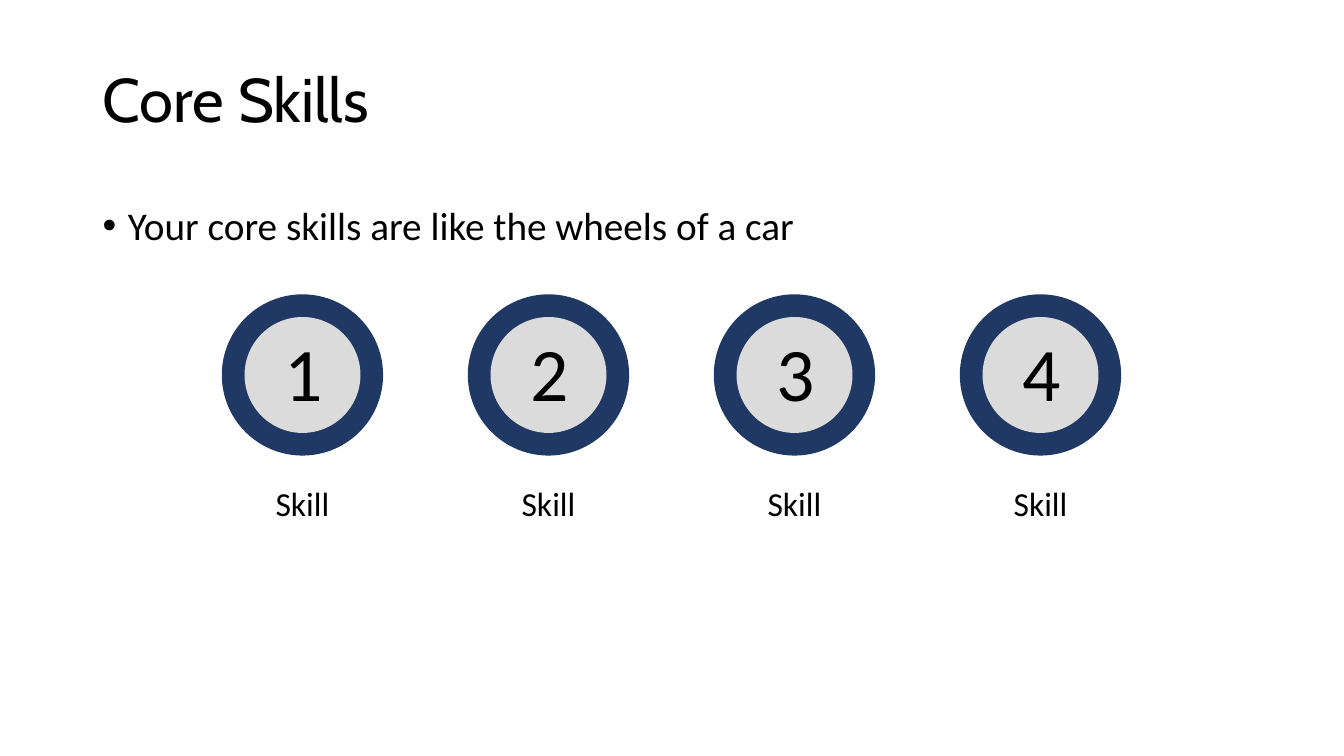
from pptx import Presentation
from pptx.dml.color import RGBColor
from pptx.enum.shapes import MSO_SHAPE as Shape
from pptx.enum.text import MSO_ANCHOR as Anchor, MSO_AUTO_SIZE as AutoSize, PP_ALIGN as Align
from pptx.oxml.ns import qn
from pptx.util import Inches, Pt
from lxml import etree

# Content
TITLE = "Core Skills"
STATEMENT = "Your core skills are like the wheels of a car"
SKILLS = [("1", "Skill"), ("2", "Skill"), ("3", "Skill"), ("4", "Skill")]

COLORS = {"text": "000000", "tire": "203864", "hub": "DBDBDB"}
HEADING_FONT, BODY_FONT = "Cabin", "Calibri"

# Layout, in inches
MARGIN, CONTENT_W = 0.92, 11.5
FIRST_CENTER, PITCH, WHEEL_Y = 3.0, 2.44, 3.72
TIRE_SIZE, HUB_SIZE = 1.6, 1.15
NUMBER_W, NUMBER_H, NUMBER_TOP = 0.56, 1.01, 3.18
LABEL_W, LABEL_H, LABEL_TOP = 1.0, 0.5, 4.74


def add_text(shapes, text, left, top, width, height, size,
             font=BODY_FONT, align=Align.LEFT, bullet=None):
    box = shapes.add_textbox(Inches(left), Inches(top), Inches(width), Inches(height))
    frame = box.text_frame
    frame.word_wrap = True
    paragraph = frame.paragraphs[0]
    paragraph.text = text
    paragraph.alignment = align
    if bullet:
        props = paragraph._p.get_or_add_pPr()
        props.set("marL", str(Inches(0.25)))
        props.set("indent", str(-Inches(0.25)))
        etree.SubElement(props, qn("a:buFont")).set("typeface", "Arial")
        etree.SubElement(props, qn("a:buChar")).set("char", bullet)
    paragraph.font.name = font
    paragraph.font.size = Pt(size)
    paragraph.font.color.rgb = RGBColor.from_string(COLORS["text"])
    return frame


def add_disc(shapes, center, size, color):
    disc = shapes.add_shape(Shape.OVAL, Inches(center - size / 2),
                            Inches(WHEEL_Y - size / 2), Inches(size), Inches(size))
    disc.shadow.inherit = False
    disc.fill.solid()
    disc.fill.fore_color.rgb = RGBColor.from_string(COLORS[color])
    disc.line.fill.background()


def add_wheel(shapes, number, center):
    wheel = shapes.add_group_shape().shapes
    add_disc(wheel, center, TIRE_SIZE, "tire")
    add_disc(wheel, center, HUB_SIZE, "hub")
    frame = add_text(wheel, number, center - NUMBER_W / 2, NUMBER_TOP,
                     NUMBER_W, NUMBER_H, 54, align=Align.CENTER)
    frame.word_wrap = False
    frame.auto_size = AutoSize.SHAPE_TO_FIT_TEXT


def main():
    prs = Presentation()
    prs.slide_width, prs.slide_height = Inches(13.33), Inches(7.5)
    shapes = prs.slides.add_slide(prs.slide_layouts[6]).shapes

    # Title and statement
    title = add_text(shapes, TITLE, MARGIN, 0.29, CONTENT_W, 1.45, 44, HEADING_FONT)
    title.vertical_anchor = Anchor.MIDDLE
    statement = add_text(shapes, STATEMENT, MARGIN, 2, CONTENT_W, 0.53, 28, bullet="•")
    for frame in (title, statement):
        frame.paragraphs[0].line_spacing = 0.9

    # Numbered wheels with their labels
    for i, (number, skill) in enumerate(SKILLS):
        center = FIRST_CENTER + i * PITCH
        add_wheel(shapes, number, center)
        label = add_text(shapes, skill, center - LABEL_W / 2, LABEL_TOP,
                         LABEL_W, LABEL_H, 24, align=Align.CENTER)
        label.auto_size = AutoSize.SHAPE_TO_FIT_TEXT

    prs.save("out.pptx")


if __name__ == "__main__":
    main()
